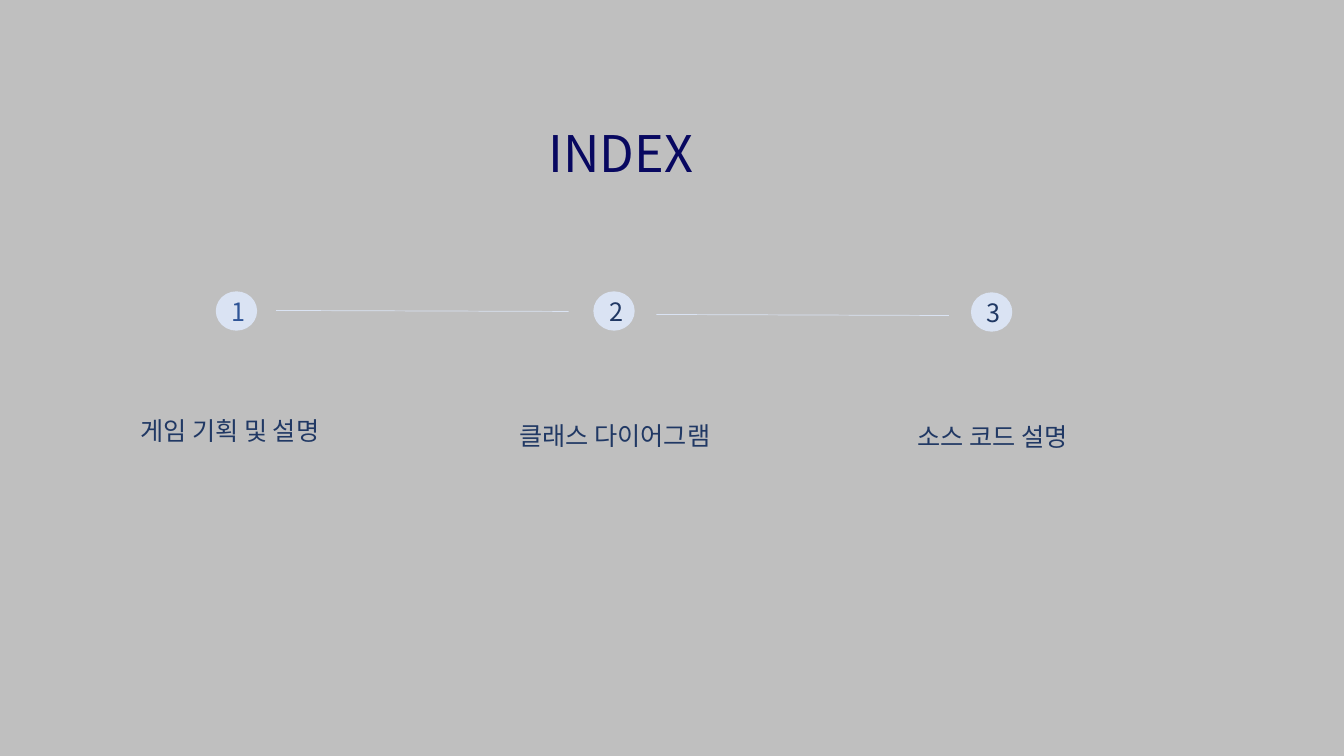
import pptx
import pptx.util
import pptx.dml.color
import pptx.enum.shapes
import pptx.enum.text
import pptx.oxml.ns
import lxml.etree

COLS, ROWS = 133.3, 75
FACE = "Noto Sans CJK KR"
PALE, NAVY, BLUE, DARK, GREY = "DAE3F3", "203864", "2F5597", "080860", "BFBFBF"
STEPS = [
    ("1", BLUE, 28.9, "게임 기획 및 설명", 12.9, 40.7, 21.2),
    ("2", NAVY, 28.9, "클래스 다이어그램", 50.5, 41.2, 24.8),
    ("3", NAVY, 29, "소스 코드 설명", 90, 41.3, 24.8),
]
FIRST, PITCH = 21.4, 37.45
LINKS = [(27.4, 30.8), (65.1, 31.2)]


def cell(*nums):
    return [pptx.util.Inches(num / 10) for num in nums]


def tint(item, code):
    if hasattr(item, "solid"):
        item.solid()
        item = item.fore_color
    item.rgb = pptx.dml.color.RGBColor.from_string(code)


def style(item, form):
    for name, value in form.items():
        setattr(item, name, value)


def write(shape, text, size, code, align, anchor, fit):
    frame = shape.text_frame
    frame.text = text
    style(frame, {"word_wrap": True, "vertical_anchor": anchor, "auto_size": fit})
    para = frame.paragraphs[0]
    para.alignment = align
    font = para.runs[0].font
    style(font, {"name": FACE, "size": pptx.util.Pt(size)})
    tint(font.color, code)
    props = para.runs[0]._r.get_or_add_rPr()
    east = lxml.etree.SubElement(props, pptx.oxml.ns.qn("a:ea"))
    east.set("typeface", FACE)


def label(shape, text, size, code):
    kinds = pptx.enum.text
    write(shape, text, size, code, kinds.PP_ALIGN.LEFT,
          kinds.MSO_ANCHOR.TOP, kinds.MSO_AUTO_SIZE.SHAPE_TO_FIT_TEXT)


def head(slide):
    shape = slide.shapes.title
    style(shape, dict(zip(("left", "top", "width", "height"),
                          cell(53.4, 11.6, 19.2, 7.1))))
    label(shape, "INDEX", 36, DARK)


def badge(slide, text, code, left, top):
    oval = pptx.enum.shapes.MSO_SHAPE.OVAL
    shape = slide.shapes.add_shape(oval, *cell(left, top, 4.1, 3.9))
    shape.shadow.inherit = False
    tint(shape.fill, PALE)
    shape.line.fill.background()
    kinds = pptx.enum.text
    write(shape, text, 18, code, kinds.PP_ALIGN.CENTER,
          kinds.MSO_ANCHOR.MIDDLE, kinds.MSO_AUTO_SIZE.NONE)


def link(slide, left, top):
    kind = pptx.enum.shapes.MSO_CONNECTOR.STRAIGHT
    line = slide.shapes.add_connector(kind, *cell(left, top, left + 29, top + 0.1))
    tint(line.line.fill, PALE)
    line.line.width = pptx.util.Pt(0.5)
    lxml.etree.SubElement(line._element.spPr, pptx.oxml.ns.qn("a:effectLst"))


def main():
    deck = pptx.Presentation()
    wide, high = cell(COLS, ROWS)
    style(deck, {"slide_width": wide, "slide_height": high})
    slide = deck.slides.add_slide(deck.slide_layouts[5])
    tint(slide.background.fill, GREY)
    head(slide)
    for step, (mark, code, row, *rest) in enumerate(STEPS):
        badge(slide, mark, code, FIRST + step * PITCH, row)
    for left, top in LINKS:
        link(slide, left, top)
    for *rest, text, left, top, width in STEPS:
        box = slide.shapes.add_textbox(*cell(left, top, width, 4))
        label(box, text, 18, NAVY)
    deck.save("out.pptx")


if __name__ == "__main__":
    main()
